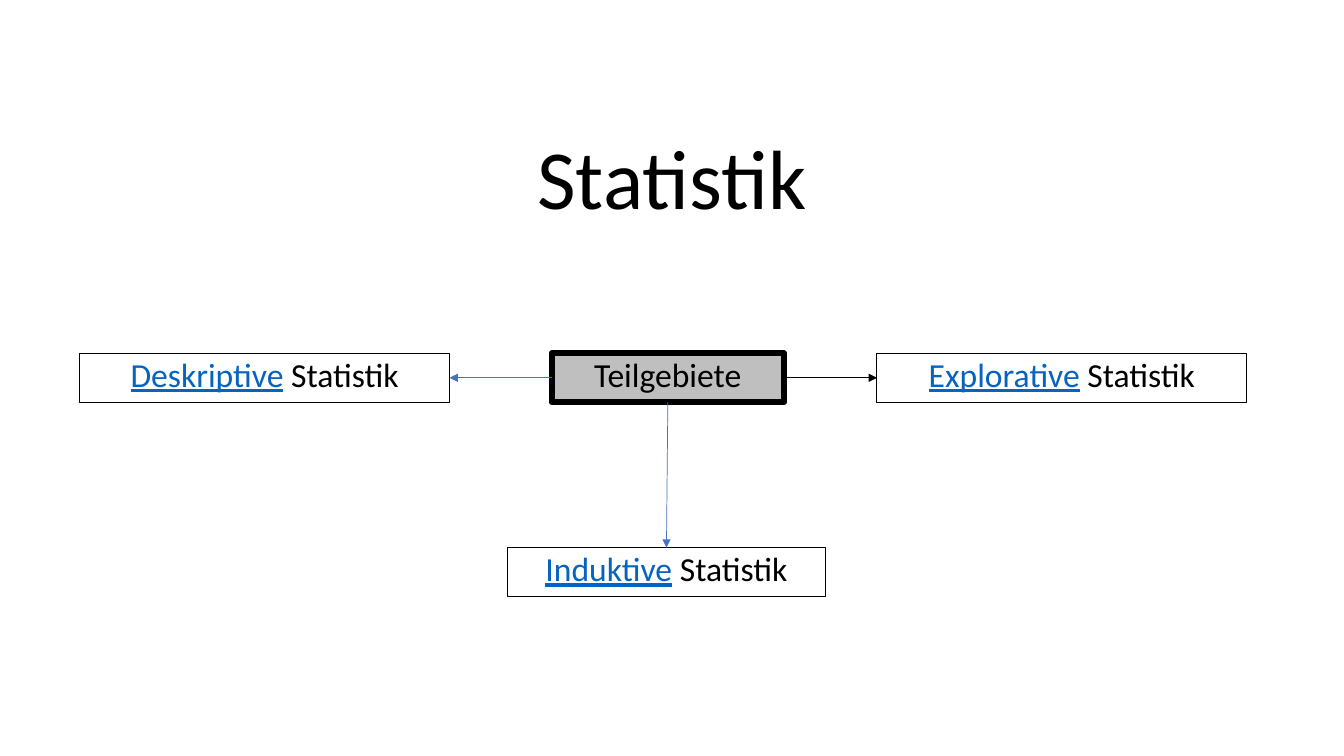
"""Draw the branches of statistics as boxes around a central node."""
from dataclasses import dataclass

from lxml.etree import SubElement
from pptx import Presentation
from pptx.dml.color import RGBColor
from pptx.enum.shapes import MSO_CONNECTOR as Wire, MSO_SHAPE as Form
from pptx.enum.text import MSO_ANCHOR as Anchor, PP_ALIGN as Align
from pptx.oxml.ns import qn
from pptx.shapes.autoshape import Shape
from pptx.shapes.shapetree import SlideShapes as Tree
from pptx.text.text import TextFrame as Frame
from pptx.util import Cm, Pt

BLACK = RGBColor(0x00, 0x00, 0x00)
GREY = RGBColor(0xBF, 0xBF, 0xBF)
LINK = RGBColor(0x05, 0x63, 0xC1)
BLUE = RGBColor(0x44, 0x72, 0xC4)

HIGH = 1.24
ROW = 8.9
TOP, LEFT, BOTTOM, RIGHT = range(4)


@dataclass(frozen=True)
class Box:
    left: float
    top: float
    width: float
    text: str
    term: str = ""
    fill: RGBColor | None = None
    line: float = 0.75


@dataclass(frozen=True)
class Branch:
    box: Box
    start: int
    end: int
    color: RGBColor


HUB = Box(13.9, ROW, 5.86, "Teilgebiete", fill=GREY, line=4.25)
BRANCHES = [
    Branch(Box(2.01, ROW, 9.32, " Statistik", "Deskriptive"), LEFT, RIGHT, BLUE),
    Branch(Box(22.1, ROW, 9.32, " Statistik", "Explorative"), RIGHT, LEFT, BLACK),
    Branch(Box(12.78, 13.8, 8.03, " Statistik", "Induktive"), BOTTOM, TOP, BLUE),
]


def write(frame: Frame, text: str, size: float, term: str = "") -> None:
    """Fill a frame with centred text, led by an underlined term if given."""
    frame.word_wrap = True
    para = frame.paragraphs[0]
    para.text = term or text
    if term:
        para.add_run().text = text
    para.alignment = Align.CENTER
    para.line_spacing = 0.9
    for run in para.runs:
        run.font.name = "Calibri"
        run.font.size = Pt(size)
        run.font.color.rgb = BLACK
    if term:
        lead = para.runs[0].font
        lead.color.rgb = LINK
        lead.underline = True


def draw(tree: Tree, box: Box) -> Shape:
    """Add one labelled rectangle."""
    shape = tree.add_shape(
        Form.RECTANGLE, Cm(box.left), Cm(box.top), Cm(box.width), Cm(HIGH)
    )
    shape.shadow.inherit = False
    if box.fill is None:
        shape.fill.background()
    else:
        shape.fill.solid()
        shape.fill.fore_color.rgb = box.fill
    shape.line.color.rgb = BLACK
    shape.line.width = Pt(box.line)
    frame = shape.text_frame
    frame.vertical_anchor = Anchor.TOP
    write(frame, box.text, 24, box.term)
    frame.paragraphs[0].space_before = Pt(10)
    return shape


def join(tree: Tree, hub: Shape, leaf: Shape, branch: Branch) -> None:
    """Add an arrow from the hub to a branch box."""
    wire = tree.add_connector(Wire.STRAIGHT, 0, 0, 0, 0)
    wire.begin_connect(hub, branch.start)
    wire.end_connect(leaf, branch.end)
    wire.line.color.rgb = branch.color
    wire.line.width = Pt(0.5)
    SubElement(wire.line._get_or_add_ln(), qn("a:tailEnd"), type="triangle")
    SubElement(wire._element.spPr, qn("a:effectLst"))


def main() -> None:
    """Build and save the slide."""
    deck = Presentation()
    deck.slide_width, deck.slide_height = Cm(33.87), Cm(19.05)
    tree = deck.slides.add_slide(deck.slide_layouts[6]).shapes

    title = tree.add_textbox(Cm(4.23), Cm(3.12), Cm(25.4), Cm(2.74)).text_frame
    title.vertical_anchor = Anchor.BOTTOM
    write(title, "Statistik", 60)

    leaves = [draw(tree, branch.box) for branch in BRANCHES]
    hub = draw(tree, HUB)
    for leaf, branch in zip(leaves, BRANCHES):
        join(tree, hub, leaf, branch)
    deck.save("out.pptx")


if __name__ == "__main__":
    main()
